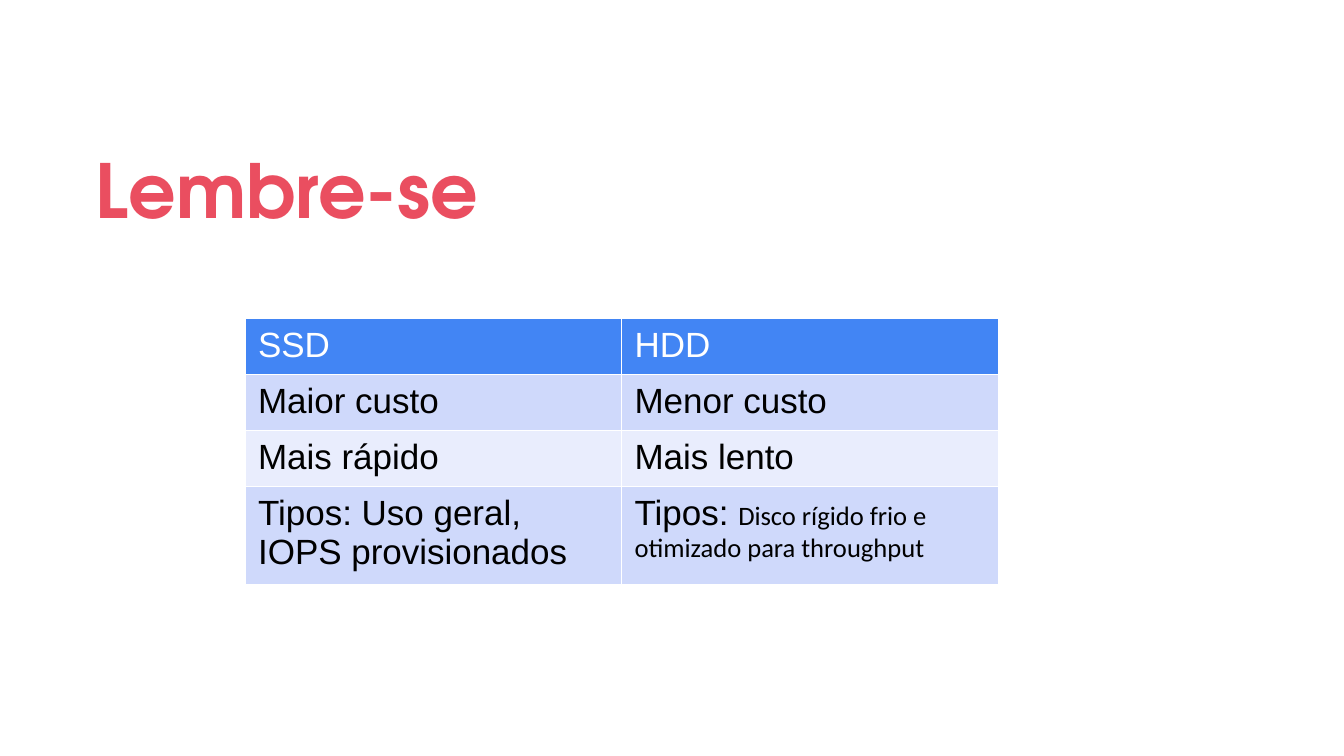
from lxml import etree
from pptx import Presentation
from pptx.dml.color import RGBColor
from pptx.enum.text import MSO_ANCHOR
from pptx.oxml import parse_xml
from pptx.oxml.ns import nsdecls
from pptx.util import Inches, Pt

MIDDLE = MSO_ANCHOR.MIDDLE
WHITE, BLACK = "FFFFFF", "000000"
HEADER, BAND_DARK, BAND_LIGHT = "4285F4", "CFD9FB", "E9EDFD"
ROW_HEIGHTS = [0.55, 0.55, 0.55, 0.96]
ROWS = [
    [[("SSD", "Arial", 25)], [("HDD", "Arial", 25)]],
    [[("Maior custo", "Arial", 25)], [("Menor custo", "Arial", 25)]],
    [[("Mais rápido", "Arial", 25)], [("Mais lento", "Arial", 25)]],
    [
        [("Tipos: Uso geral, IOPS provisionados", "Arial", 25)],
        [
            ("Tipos: ", "Arial", 25),
            ("Disco rígido frio e otimizado para throughput", "Calibri", 19),
        ],
    ],
]


def color(value):
    return RGBColor.from_string(value)


def add_run(p, text, font, size, fill, bold=False):
    r = p.add_run()
    r.text = text
    r.font.name = font
    r.font.size = Pt(size)
    r.font.bold = bold
    r.font.color.rgb = color(fill)


def set_borders(cell, fill, width):
    tcPr = cell._tc.get_or_add_tcPr()
    for side in ("lnL", "lnR", "lnT", "lnB"):
        line = parse_xml(f'<a:{side} {nsdecls("a")} w="{Pt(width)}"/>')
        solid = etree.SubElement(line, line.tag.replace(side, "solidFill"))
        etree.SubElement(solid, line.tag.replace(side, "srgbClr"), val=fill)
        tcPr.append(line)


def add_title(s, left, top, width, height):
    sp = s.shapes.add_textbox(Inches(left), Inches(top), Inches(width), Inches(height))
    tf = sp.text_frame
    tf.word_wrap = True
    tf.vertical_anchor = MIDDLE
    tf.margin_left = tf.margin_right = tf.margin_top = tf.margin_bottom = Inches(0.13)
    p = tf.paragraphs[0]
    p.line_spacing = 1.15
    add_run(p, "Lembre-se", "TeX Gyre Adventor", 53.3, "EA4E60", True)


def fill_cell(cell, runs, background, text_color):
    cell.margin_left = cell.margin_right = Inches(0.13)
    cell.margin_top = cell.margin_bottom = Inches(0.07)
    set_borders(cell, WHITE, 1)
    cell.fill.solid()
    cell.fill.fore_color.rgb = color(background)
    p = cell.text_frame.paragraphs[0]
    for text, font, size in runs:
        add_run(p, text, font, size, text_color)


def add_comparison(s, left, top, width):
    columns = len(ROWS[0])
    table = s.shapes.add_table(
        len(ROWS), columns, Inches(left), Inches(top),
        Inches(width), Inches(sum(ROW_HEIGHTS)),
    ).table
    for column in table.columns:
        column.width = Inches(width / columns)
    for i, row in enumerate(ROWS):
        table.rows[i].height = Inches(ROW_HEIGHTS[i])
        band = BAND_DARK if i % 2 else BAND_LIGHT
        background, text_color = (band, BLACK) if i else (HEADER, WHITE)
        for j, runs in enumerate(row):
            fill_cell(table.cell(i, j), runs, background, text_color)


def main():
    prs = Presentation()
    prs.slide_width = Inches(13.33)
    prs.slide_height = Inches(7.5)
    s = prs.slides.add_slide(prs.slide_layouts[6])
    add_title(s, 0.82, 1.14, 11.65, 1.32)
    add_comparison(s, 2.43, 3.16, 7.47)
    prs.save("out.pptx")


if __name__ == "__main__":
    main()
